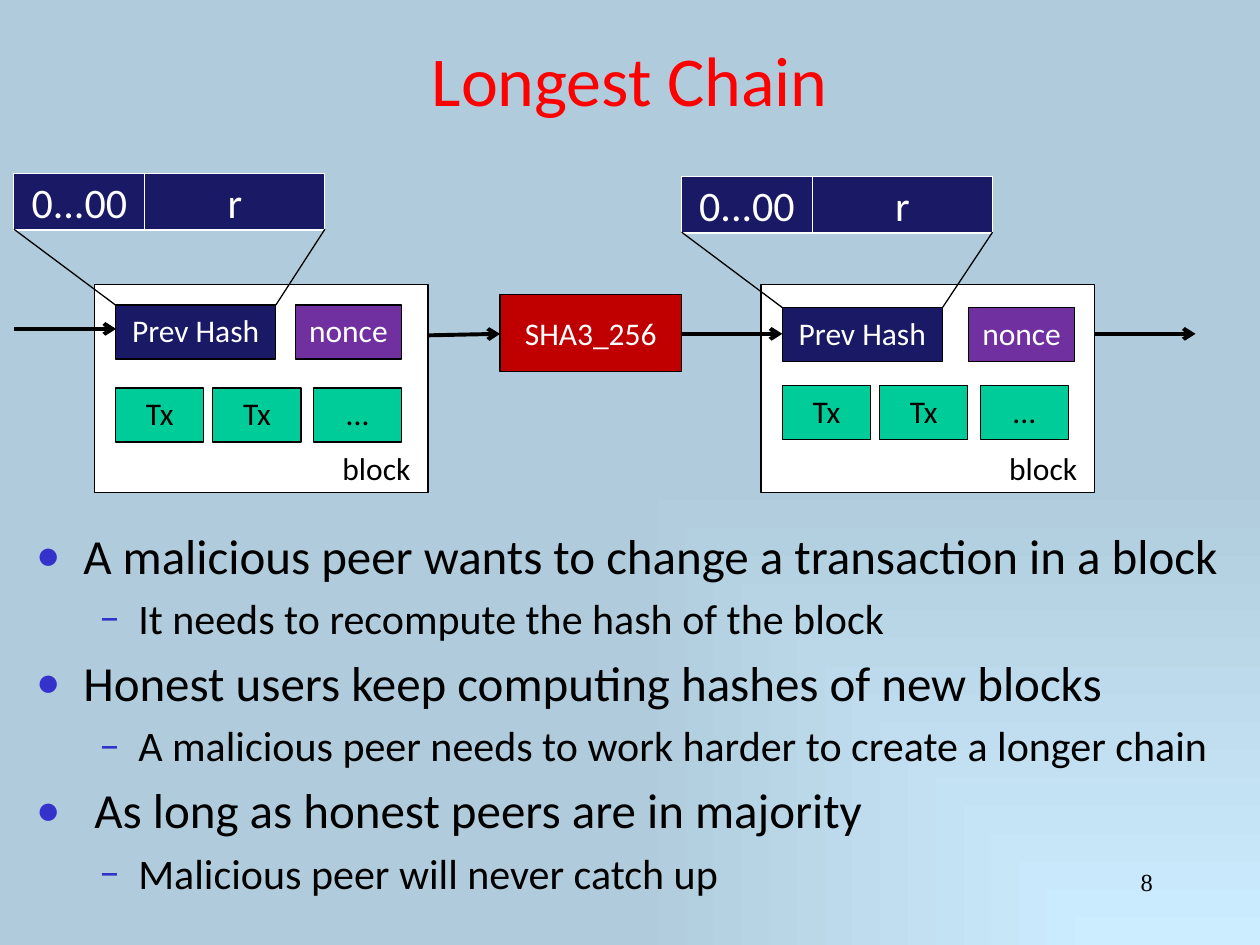
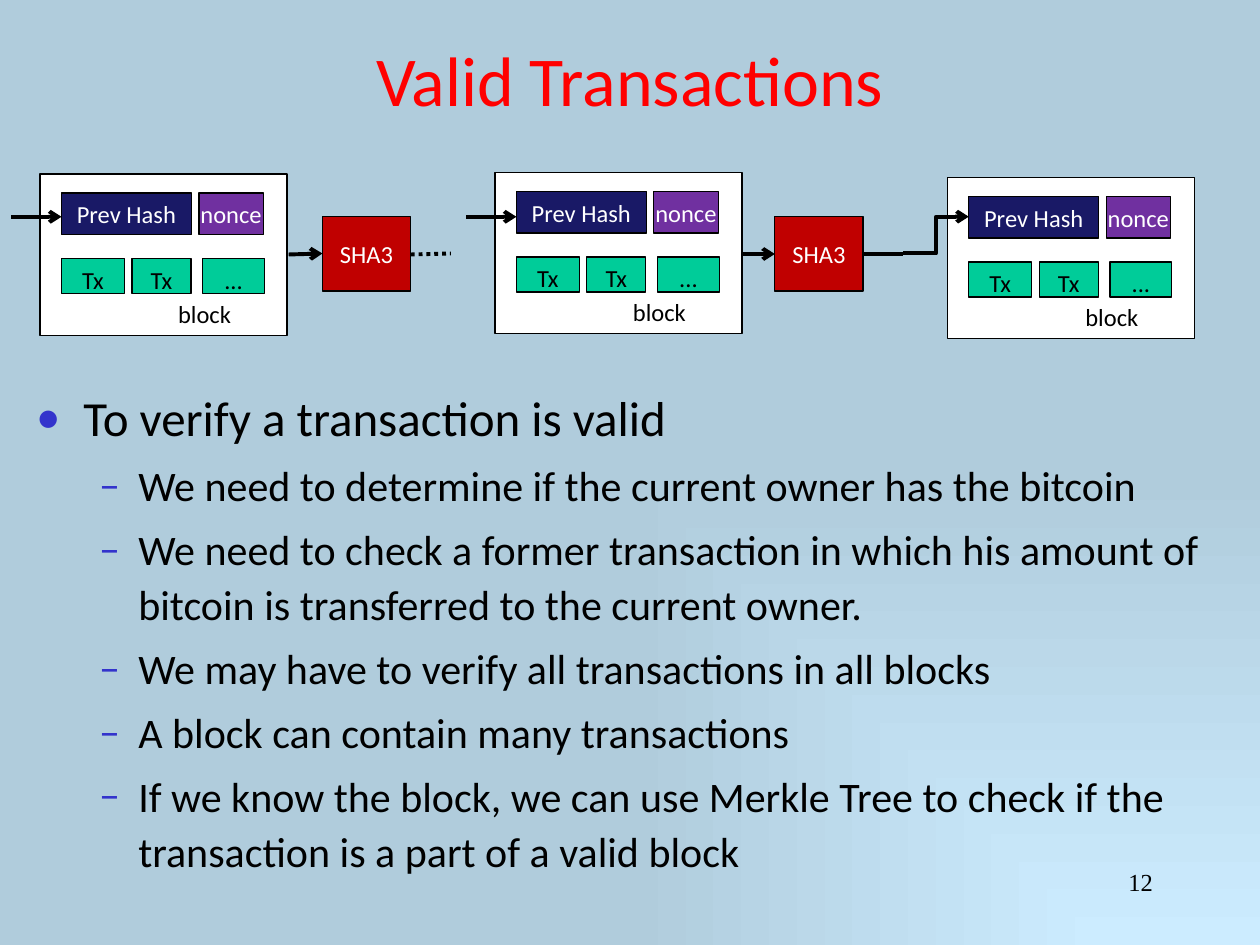
from dataclasses import dataclass

from lxml import etree
from pptx import Presentation
from pptx.dml.color import RGBColor
from pptx.enum.dml import MSO_LINE
from pptx.enum.shapes import MSO_CONNECTOR, MSO_SHAPE
from pptx.enum.text import MSO_ANCHOR, MSO_AUTO_SIZE, PP_ALIGN
from pptx.oxml.ns import qn
from pptx.util import Cm, Pt

RECT = MSO_SHAPE.RECTANGLE
STRAIGHT, ELBOW = MSO_CONNECTOR.STRAIGHT, MSO_CONNECTOR.ELBOW
DOTTED = MSO_LINE.ROUND_DOT
LEFT, CENTER, RIGHT = PP_ALIGN.LEFT, PP_ALIGN.CENTER, PP_ALIGN.RIGHT
TOP, MIDDLE = MSO_ANCHOR.TOP, MSO_ANCHOR.MIDDLE


@dataclass(frozen=True)
class Theme:
    font: str = "Calibri"
    number_font: str = "Times New Roman"
    glow: str = "CCECFF"
    sky: str = "B0CCDC"
    title: str = "FF0000"
    bullet: str = "3333CC"
    black: str = "000000"
    white: str = "FFFFFF"
    navy: str = "191966"
    purple: str = "7030A0"
    green: str = "00CC99"
    red: str = "C00000"
    title_size: int = 40
    body_sizes: tuple = (28, 24)
    zoom_size: int = 24
    number_size: int = 14
    thin: float = 0.75
    thick: float = 2.25


T = Theme()

# Kind of box: fill, outline, text colour, anchor
STYLES = {
    "block": (T.white, T.black, T.black, TOP),
    "tx": (T.green, T.black, T.black, TOP),
    "hash": (T.navy, T.black, T.white, TOP),
    "nonce": (T.purple, T.black, T.white, TOP),
    "sha": (T.red, T.black, T.white, MIDDLE),
    "zoom": (T.navy, T.white, T.white, MIDDLE),
    "label": (None, None, T.black, TOP),
}
# Bullet level: character, left margin, hanging indent
BULLETS = (("\u2022", 0.95, -0.95), ("\u2013", 2.06, -0.79))


def write(p, text, size=18, color=T.black, font=T.font, align=CENTER):
    """Put formatted text in a paragraph."""
    p.alignment = align
    r = p.add_run()
    r.text = text
    r.font.size = Pt(size)
    r.font.name = font
    r.font.color.rgb = RGBColor.from_string(color)


def line(s, x1, y1, x2, y2, width=T.thick, arrow=True, dash=None, kind=STRAIGHT):
    """Draw a connector between two points given in cm."""
    c = s.shapes.add_connector(kind, Cm(x1), Cm(y1), Cm(x2), Cm(y2))
    c.line.color.rgb = RGBColor.from_string(T.black)
    c.line.width = Pt(width)
    if dash is not None:
        c.line.dash_style = dash
    sp_pr = c.element.spPr
    if arrow:
        etree.SubElement(sp_pr.find(qn("a:ln")), qn("a:tailEnd"), type="arrow")
    etree.SubElement(sp_pr, qn("a:effectLst"))


prs = Presentation()
prs.slide_width, prs.slide_height = Cm(25.4), Cm(19.05)

# Shared background: gradient from the lower right corner
fill = prs.slide_master.background.fill
fill.gradient()
for stop, color in zip(fill.gradient_stops, (T.glow, T.sky)):
    stop.color.rgb = RGBColor.from_string(color)
grad = prs.slide_master.element.find(".//" + qn("a:gradFill"))
for lin in grad.findall(qn("a:lin")):
    grad.remove(lin)
path_node = etree.SubElement(grad, qn("a:path"), path="rect")
etree.SubElement(path_node, qn("a:fillToRect"), l="100000", t="100000")

# Longest Chain: boxes as (kind, text, x, y, w, h), lines as (points, format)
chain_boxes, chain_lines = [], []
for x, hash_y, tx_y, nonce_dx, zoom_x, zoom_y in (
        (1.9, 6.15, 7.82, 4.06, 0.28, 3.5),
        (15.34, 6.2, 7.77, 4.19, 13.74, 3.56)):
    left = x + 0.43
    chain_boxes += [
        ("block", "", x, 5.74, 6.73, 4.19),
        ("hash", "Prev Hash", left, hash_y, 3.23, 1.09),
        ("nonce", "nonce", x + nonce_dx, hash_y, 2.13, 1.09),
        ("label", "block", x + 4.66, 8.92, 2.06, 1.02),
        ("zoom", "0...00", zoom_x, zoom_y, 2.64, 1.14),
        ("zoom", "r", zoom_x + 2.64, zoom_y, 3.63, 1.14),
    ]
    for text, dx in (("Tx", 0.43), ("Tx", 2.39), ("...", 4.42)):
        chain_boxes.append(("tx", text, x + dx, tx_y, 1.78, 1.09))
    thin = dict(width=T.thin, arrow=False)
    chain_lines += [
        ((zoom_x, zoom_y + 1.12, left, hash_y), thin),
        ((left + 3.23, hash_y, zoom_x + 6.27, zoom_y + 1.12), thin),
    ]
chain_boxes.append(("sha", "SHA3_256", 10.08, 5.94, 3.66, 1.55))
chain_lines += [
    ((0.28, 6.63, 2.34, 6.63), {}),
    ((8.63, 6.76, 10.08, 6.73), {}),
    ((13.74, 6.73, 15.77, 6.73), {}),
    ((22.07, 6.73, 24.1, 6.73), {}),
]

# Valid Transactions: three smaller blocks
valid_boxes, valid_lines = [], []
for x, y in ((0.81, 3.51), (9.98, 3.48), (19.1, 3.58)):
    valid_boxes += [
        ("block", "", x, y, 4.98, 3.25),
        ("hash", "Prev Hash", x + 0.43, y + 0.38, 2.62, 0.84),
        ("nonce", "nonce", x + 3.2, y + 0.38, 1.3, 0.84),
        ("label", "block", x + 2.44, y + 2.39, 1.75, 0.86),
    ]
    for text, dx, w in (("Tx", 0.43, 1.27), ("Tx", 1.85, 1.19), ("...", 3.28, 1.24)):
        valid_boxes.append(("tx", text, x + dx, y + 1.7, w, 0.71))
for x in (6.5, 15.62):
    valid_boxes.append(("sha", "SHA3", x, 4.37, 1.78, 1.5))
valid_lines += [
    ((0.23, 4.37, 1.24, 4.37), {}),
    ((9.4, 4.37, 10.41, 4.37), {}),
    ((5.82, 5.13, 6.5, 5.11), {}),
    ((8.28, 5.13, 9.09, 5.11), dict(arrow=False, dash=DOTTED)),
    ((14.96, 5.12, 15.62, 5.12), {}),
    ((17.4, 5.12, 18.21, 5.12), dict(arrow=False)),
    ((18.21, 5.11, 19.53, 4.37), dict(kind=ELBOW)),
]

# Bullets as (level, text)
chain_body = (
    (0, "A malicious peer wants to change a transaction in a block"),
    (1, "It needs to recompute the hash of the block"),
    (0, "Honest users keep computing hashes of new blocks"),
    (1, "A malicious peer needs to work harder to create a longer chain"),
    (0, " As long as honest peers are in majority"),
    (1, "Malicious peer will never catch up"),
)
valid_body = (
    (0, "To verify a transaction is valid"),
    (1, "We need to determine if the current owner has the bitcoin"),
    (1, "We need to check a former transaction in which his amount of "
        "bitcoin is transferred to the current owner."),
    (1, "We may have to verify all transactions in all blocks"),
    (1, "A block can contain many transactions"),
    (1, "If we know the block, we can use Merkle Tree to check if the "
        "transaction is a part of a valid block"),
)

# Title, number, body top and height, line spacing, box text size, tight kinds
slides = (
    ("Longest Chain", "8", 10.46, 7.75, None, 18, (),
     chain_body, chain_boxes, chain_lines),
    ("Valid Transactions", "12", 7.57, 10.06, 1.1, 14, ("hash", "nonce", "sha"),
     valid_body, valid_boxes, valid_lines),
)

for title, number, top, height, spacing, box_size, tight, body, boxes, lines in slides:
    s = prs.slides.add_slide(prs.slide_layouts[5])

    # Title
    sp = s.shapes.title
    sp.left, sp.top, sp.width, sp.height = Cm(0.48), Cm(0), Cm(24.43), Cm(3.18)
    tf = sp.text_frame
    tf.auto_size = MSO_AUTO_SIZE.NONE
    tf.vertical_anchor = MIDDLE
    write(tf.paragraphs[0], title, size=T.title_size, color=T.title)

    # Bulleted body
    tf = s.shapes.add_textbox(Cm(0.48), Cm(top), Cm(24.49), Cm(height)).text_frame
    tf.word_wrap = True
    for i, (level, text) in enumerate(body):
        p = tf.add_paragraph() if i else tf.paragraphs[0]
        write(p, text, size=T.body_sizes[level], align=LEFT)
        p.level = level
        if spacing:
            p.line_spacing = spacing
        char, margin, indent = BULLETS[level]
        p_pr = p._p.get_or_add_pPr()
        p_pr.set("marL", str(Cm(margin)))
        p_pr.set("indent", str(Cm(indent)))
        before = etree.SubElement(p_pr, qn("a:spcBef"))
        etree.SubElement(before, qn("a:spcPct"), val="20000")
        bu_color = etree.SubElement(p_pr, qn("a:buClr"))
        etree.SubElement(bu_color, qn("a:srgbClr"), val=T.bullet)
        etree.SubElement(p_pr, qn("a:buFont"), typeface=T.font)
        etree.SubElement(p_pr, qn("a:buChar"), char=char)

    # Slide number
    tf = s.shapes.add_textbox(Cm(18.21), Cm(17.35), Cm(5.28), Cm(1.27)).text_frame
    tf.word_wrap = True
    write(tf.paragraphs[0], number, size=T.number_size, font=T.number_font, align=RIGHT)

    # Boxes of the diagram
    for kind, text, x, y, w, h in boxes:
        fill_color, outline, text_color, anchor = STYLES[kind]
        at = Cm(x), Cm(y), Cm(w), Cm(h)
        if fill_color is None:
            sp = s.shapes.add_textbox(*at)
        else:
            sp = s.shapes.add_shape(RECT, *at)
            sp.shadow.inherit = False
            sp.fill.solid()
            sp.fill.fore_color.rgb = RGBColor.from_string(fill_color)
            sp.line.color.rgb = RGBColor.from_string(outline)
            sp.line.width = Pt(T.thin)
        tf = sp.text_frame
        tf.word_wrap = True
        tf.vertical_anchor = anchor
        if kind in tight:
            tf.margin_left = tf.margin_right = 0
        if text:
            size = T.zoom_size if kind == "zoom" else box_size
            write(tf.paragraphs[0], text, size=size, color=text_color)

    # Lines and arrows
    for points, style in lines:
        line(s, *points, **style)

prs.save("out.pptx")
